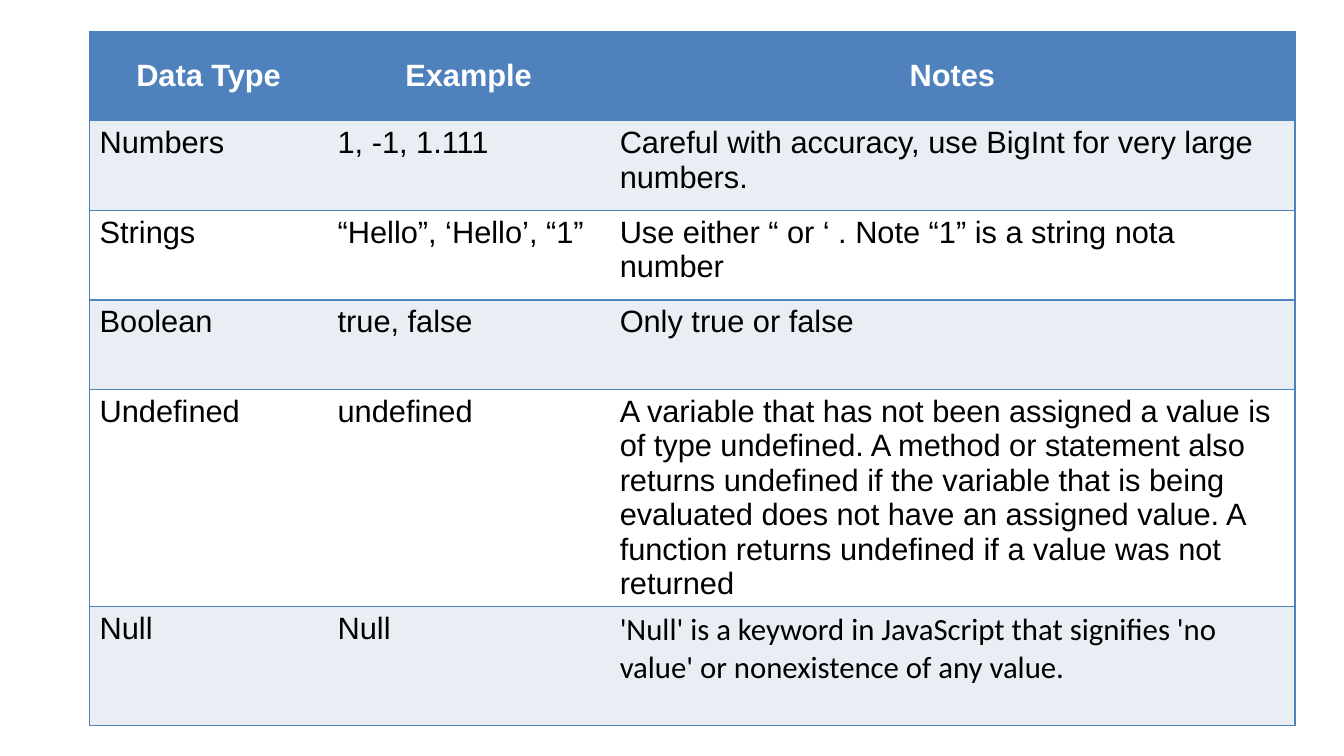
from lxml import etree
from pptx import Presentation
from pptx.dml.color import RGBColor
from pptx.enum.text import MSO_ANCHOR, PP_ALIGN
from pptx.oxml.ns import qn
from pptx.util import Pt

CENTER = PP_ALIGN.CENTER
LEFT = PP_ALIGN.LEFT
MIDDLE = MSO_ANCHOR.MIDDLE
TOP = MSO_ANCHOR.TOP

BLUE = RGBColor(0x4F, 0x81, 0xBD)
PALE_BLUE = RGBColor(0xE9, 0xED, 0xF4)
WHITE = RGBColor(0xFF, 0xFF, 0xFF)
BLACK = RGBColor(0, 0, 0)

COLUMN_WIDTHS = (170, 201.5, 489.5)
ROW_HEIGHTS = (64, 64, 64, 64, 148.5, 85)
DATA_TYPES = (
    ("Data Type", "Example", "Notes"),
    ("Numbers", "1, -1, 1.111",
     "Careful with accuracy, use BigInt for very large numbers."),
    ("Strings", "“Hello”, ‘Hello’, “1”",
     "Use either “ or ‘ . Note “1” is a string nota number"),
    ("Boolean", "true, false", "Only true or false"),
    ("Undefined", "undefined",
     "A variable that has not been assigned a value is of type undefined. "
     "A method or statement also returns undefined if the variable that is "
     "being evaluated does not have an assigned value. A function returns "
     "undefined if a value was not returned"),
    ("Null", "Null",
     "'Null' is a keyword in JavaScript that signifies 'no value' or "
     "nonexistence of any value."),
)


def set_borders(cell, visible_sides):
    """Draw thin blue lines on the visible sides (L, R, T, B) and none elsewhere."""
    properties = cell._tc.get_or_add_tcPr()
    for position, side in enumerate("LRTB"):
        line = etree.Element(qn(f"a:ln{side}"), w=str(Pt(1)))
        if side in visible_sides:
            fill = etree.SubElement(line, qn("a:solidFill"))
            etree.SubElement(fill, qn("a:srgbClr"), val=str(BLUE))
        else:
            etree.SubElement(line, qn("a:noFill"))
        properties.insert(position, line)


def format_cell(cell, text, fill_color, is_header, font_name):
    cell.fill.solid()
    cell.fill.fore_color.rgb = fill_color
    cell.vertical_anchor = MIDDLE if is_header else TOP
    cell.text = text
    paragraph = cell.text_frame.paragraphs[0]
    paragraph.alignment = CENTER if is_header else LEFT
    paragraph.font.name = font_name
    paragraph.font.size = Pt(22)
    paragraph.font.bold = is_header
    paragraph.font.color.rgb = WHITE if is_header else BLACK


def add_data_type_table(slide, left, top):
    row_count, column_count = len(DATA_TYPES), len(COLUMN_WIDTHS)
    table = slide.shapes.add_table(
        row_count, column_count, Pt(left), Pt(top),
        Pt(sum(COLUMN_WIDTHS)), Pt(sum(ROW_HEIGHTS))).table
    for column, width in zip(table.columns, COLUMN_WIDTHS):
        column.width = Pt(width)
    for row, height in zip(table.rows, ROW_HEIGHTS):
        row.height = Pt(height)

    last_row, last_column = row_count - 1, column_count - 1
    for row_index, texts in enumerate(DATA_TYPES):
        is_header = row_index == 0
        band_color = PALE_BLUE if row_index % 2 else WHITE
        for column_index, text in enumerate(texts):
            cell = table.cell(row_index, column_index)
            is_null_note = (row_index, column_index) == (last_row, last_column)
            format_cell(cell, text, BLUE if is_header else band_color,
                        is_header, "Calibri" if is_null_note else "Arial")
            outer_sides = {0: "L", last_column: "R"}.get(column_index, "")
            set_borders(cell, "TB" + outer_sides)


def main():
    presentation = Presentation()
    presentation.slide_width = Pt(960)
    presentation.slide_height = Pt(540)
    blank_layout = presentation.slide_layouts[6]
    slide = presentation.slides.add_slide(blank_layout)
    add_data_type_table(slide, left=64, top=22.3)
    presentation.save("out.pptx")


if __name__ == "__main__":
    main()
